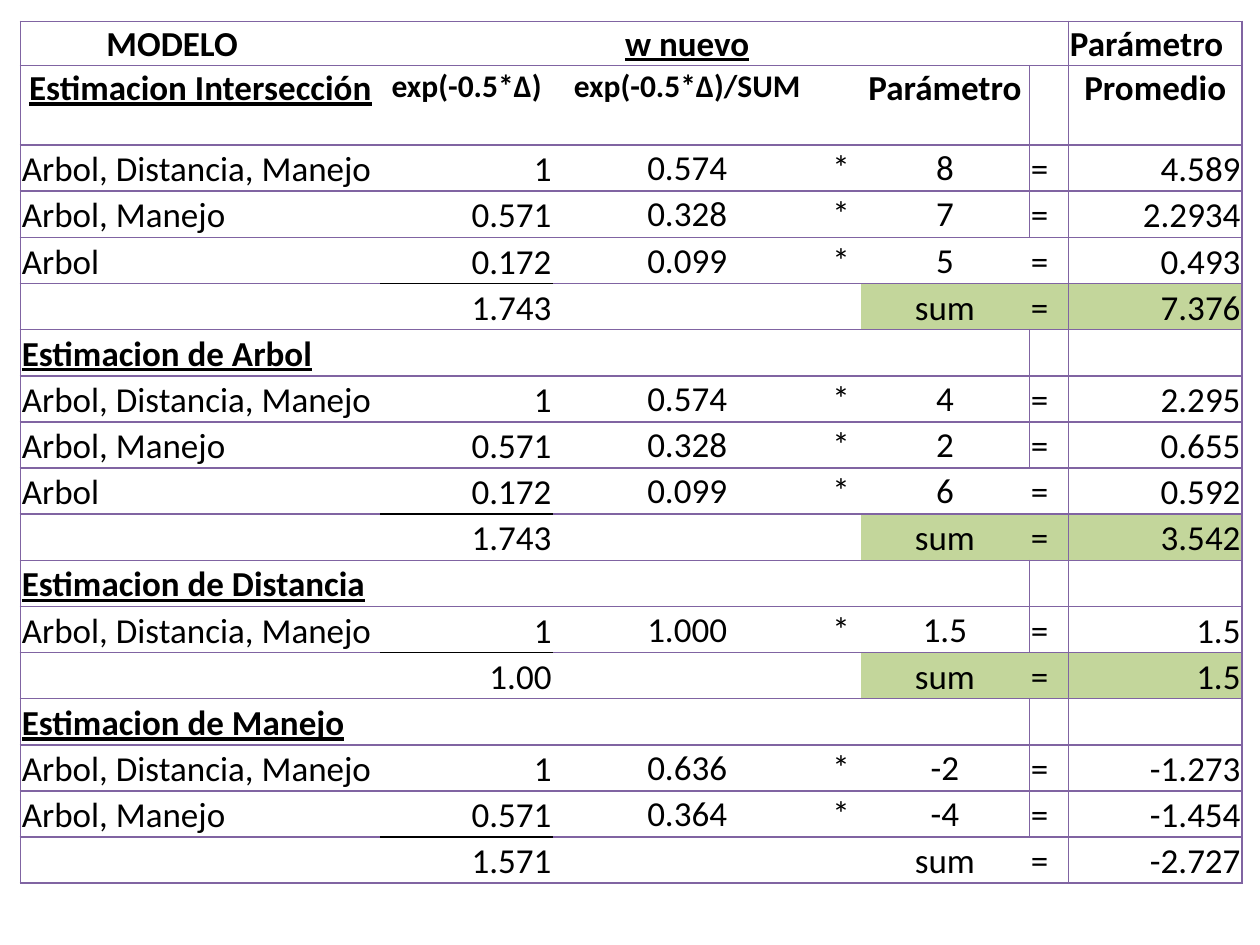
from lxml import etree
from pptx import Presentation
from pptx.dml.color import RGBColor
from pptx.enum.text import MSO_ANCHOR, PP_ALIGN
from pptx.oxml.ns import qn
from pptx.util import Cm, Pt

LEFT, CENTER, RIGHT = PP_ALIGN.LEFT, PP_ALIGN.CENTER, PP_ALIGN.RIGHT
TOP, MIDDLE, BOTTOM = MSO_ANCHOR.TOP, MSO_ANCHOR.MIDDLE, MSO_ANCHOR.BOTTOM
NO_STYLE = "{2D5ABB26-0587-4C30-8999-92F81FD0307C}"

THEME = {
    "font": "Calibri", "size": 20, "formula_size": 18,
    "text": "000000", "paper": "FFFFFF", "sum": "C3D69B",
    "rule": "8064A2", "total_rule": "000000", "rule_width": 1,
}

FULL, PAIR, SINGLE = "Arbol, Distancia, Manejo", "Arbol, Manejo", "Arbol"
TITLES = {0: "MODELO", 4: "w nuevo", 8: "Parámetro"}
HEADINGS = {3: "exp(-0.5*∆)", 4: "exp(-0.5*∆)/SUM", 6: "Parámetro", 8: "Promedio"}
GROUPS = [
    ("Estimacion Intersección",
     [(FULL, "1", "0.574", "8", "4.589"),
      (PAIR, "0.571", "0.328", "7", "2.2934"),
      (SINGLE, "0.172", "0.099", "5", "0.493")], ("1.743", "7.376"), "sum"),
    ("Estimacion de Arbol",
     [(FULL, "1", "0.574", "4", "2.295"),
      (PAIR, "0.571", "0.328", "2", "0.655"),
      (SINGLE, "0.172", "0.099", "6", "0.592")], ("1.743", "3.542"), "sum"),
    ("Estimacion de Distancia",
     [(FULL, "1", "1.000", "1.5", "1.5")], ("1.00", "1.5"), "sum"),
    ("Estimacion de Manejo",
     [(FULL, "1", "0.636", "-2", "-1.273"),
      (PAIR, "0.571", "0.364", "-4", "-1.454")], ("1.571", "-2.727"), "paper"),
]
COL_WIDTHS = [2.64, 3.48, 1.14, 3.48, 5.41, 0.79, 3.4, 0.79, 3.5]
TITLE_H, HEADING_H, ROW_H = 0.89, 1.6, 0.93
ALIGNS = [LEFT, LEFT, LEFT, RIGHT, CENTER, CENTER, CENTER, LEFT, RIGHT]
LAST = len(COL_WIDTHS) - 1


def table_rows():
    rows = [("title", TITLES, "paper")]
    for i, (heading, models, (weight, total), fill) in enumerate(GROUPS):
        if i == 0:
            rows.append(("heading", {0: heading, **HEADINGS}, "paper"))
        else:
            rows.append(("group", {0: heading}, "paper"))
        for label, exp, w, value, product in models:
            texts = {0: label, 3: exp, 4: w, 5: "*", 6: value, 7: "=", 8: product}
            rows.append(("model", texts, "paper"))
        rows.append(("total", {3: weight, 6: "sum", 7: "=", 8: total}, fill))
    return rows


def label_span(kind, texts):
    if kind == "title":
        return 0, 1
    if kind == "total" or texts[0] == SINGLE:
        return 1, 2
    return 0, 2


def add_border(cell, side, color):
    ln = etree.SubElement(cell._tc.get_or_add_tcPr(), qn("a:ln" + side),
                          w=str(Pt(THEME["rule_width"])))
    fill = etree.SubElement(ln, qn("a:solidFill"))
    etree.SubElement(fill, qn("a:srgbClr"), val=THEME[color])


def border_cell(cell, col, kind, next_kind, span):
    divided = col == LAST or (col == LAST - 1 and span == (0, 2))
    before_divider = col == LAST - 1 or (col == LAST - 2 and span == (0, 2))
    if col == 0 or divided:
        add_border(cell, "L", "rule")
    if col == LAST or before_divider:
        add_border(cell, "R", "rule")
    add_border(cell, "T", "total_rule" if col == 3 and kind == "total" else "rule")
    add_border(cell, "B", "total_rule" if col == 3 and next_kind == "total" else "rule")


def write_cell(cell, text, col, kind):
    cell.margin_left = cell.margin_right = cell.margin_top = Cm(0.03)
    cell.margin_bottom = 0
    cell.vertical_anchor = BOTTOM
    if kind == "heading":
        cell.vertical_anchor = TOP
    elif kind == "model" and col in (4, 5, 6):
        cell.vertical_anchor = MIDDLE
    if not text:
        return
    p = cell.text_frame.paragraphs[0]
    p.text = text
    p.alignment = ALIGNS[col]
    if kind == "heading" or (kind == "title" and col < LAST):
        p.alignment = CENTER
    elif kind == "title":
        p.alignment = LEFT
    font = p.runs[0].font
    font.name = THEME["font"]
    font.size = Pt(THEME["formula_size" if text.startswith("exp") else "size"])
    font.color.rgb = RGBColor.from_string(THEME["text"])
    font.bold = kind in ("title", "heading", "group")
    font.underline = text == "w nuevo" or text.startswith("Estimacion")


def main():
    prs = Presentation()
    prs.slide_width, prs.slide_height = Cm(25.4), Cm(19.05)
    s = prs.slides.add_slide(prs.slide_layouts[6])
    rows = table_rows()
    heights = [TITLE_H, HEADING_H] + [ROW_H] * (len(rows) - 2)
    frame = s.shapes.add_table(len(rows), len(COL_WIDTHS), Cm(0.41), Cm(0.43),
                               Cm(sum(COL_WIDTHS)), Cm(sum(heights)))
    table = frame.table
    table.first_row = table.horz_banding = False
    for style in table._tbl.iter(qn("a:tableStyleId")):
        style.text = NO_STYLE
    for column, width in zip(table.columns, COL_WIDTHS):
        column.width = Cm(width)
    for r, (kind, texts, sum_fill) in enumerate(rows):
        table.rows[r].height = Cm(heights[r])
        next_kind = rows[r + 1][0] if r + 1 < len(rows) else None
        span = label_span(kind, texts)
        for c in range(len(COL_WIDTHS)):
            cell = table.cell(r, c)
            write_cell(cell, texts.get(c), c, kind)
            border_cell(cell, c, kind, next_kind, span)
            cell.fill.solid()
            fill = sum_fill if c >= 6 else "paper"
            cell.fill.fore_color.rgb = RGBColor.from_string(THEME[fill])
        table.cell(r, span[0]).merge(table.cell(r, span[1]))
    prs.save("out.pptx")


if __name__ == "__main__":
    main()
